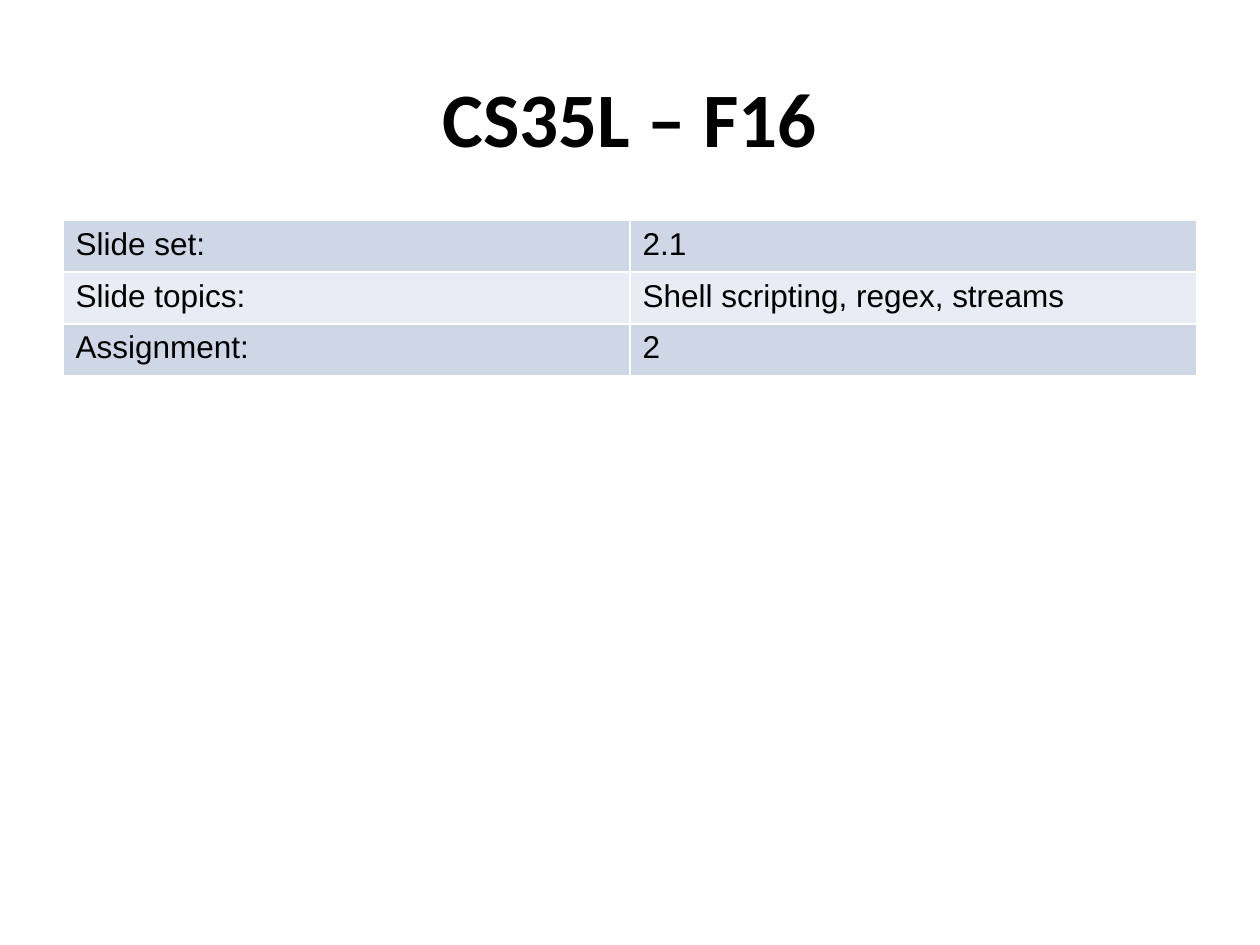
from lxml import etree
from pptx import Presentation
from pptx.dml.color import RGBColor
from pptx.enum.text import MSO_ANCHOR, PP_ALIGN
from pptx.oxml.ns import qn
from pptx.util import Inches, Pt

MIDDLE = MSO_ANCHOR.MIDDLE
CENTER = PP_ALIGN.CENTER
COLORS = {"text": "000000", "band": "CFD7E7", "plain": "E8ECF4", "border": "FFFFFF"}
ROWS = [
    ("Slide set:", "2.1"),
    ("Slide topics:", "Shell scripting, regex, streams"),
    ("Assignment:", "2"),
]


def add_span(para, text, size, font, bold=False):
    span = para.add_run()
    span.text = text
    span.font.size = Pt(size)
    span.font.name = font
    span.font.bold = bold
    span.font.color.rgb = RGBColor.from_string(COLORS["text"])


def add_borders(cell):
    properties = cell._tc.get_or_add_tcPr()
    for side in ("lnL", "lnR", "lnT", "lnB"):
        line = etree.SubElement(properties, qn(f"a:{side}"), w=str(Pt(1)))
        fill = etree.SubElement(line, qn("a:solidFill"))
        etree.SubElement(fill, qn("a:srgbClr"), val=COLORS["border"])


deck = Presentation()
deck.slide_width = Inches(10)
deck.slide_height = Inches(7.5)
page = deck.slides.add_slide(deck.slide_layouts[6])

title_box = page.shapes.add_textbox(Inches(0.5), Inches(0.3), Inches(9), Inches(1.25))
title_box.text_frame.word_wrap = True
title_box.text_frame.vertical_anchor = MIDDLE
title_para = title_box.text_frame.paragraphs[0]
title_para.alignment = CENTER
add_span(title_para, "CS35L – F16", 44, "Calibri", bold=True)

row_height = Inches(0.41)
table = page.shapes.add_table(
    len(ROWS), 2, Inches(0.5), Inches(1.75), Inches(9), row_height * len(ROWS)
).table
table.first_row = False
for row_index, row in enumerate(ROWS):
    table.rows[row_index].height = row_height
    fill_name = "plain" if row_index % 2 else "band"
    for column_index, text in enumerate(row):
        cell = table.cell(row_index, column_index)
        add_borders(cell)
        cell.fill.solid()
        cell.fill.fore_color.rgb = RGBColor.from_string(COLORS[fill_name])
        add_span(cell.text_frame.paragraphs[0], text, 18, "Arial")

deck.save("out.pptx")
